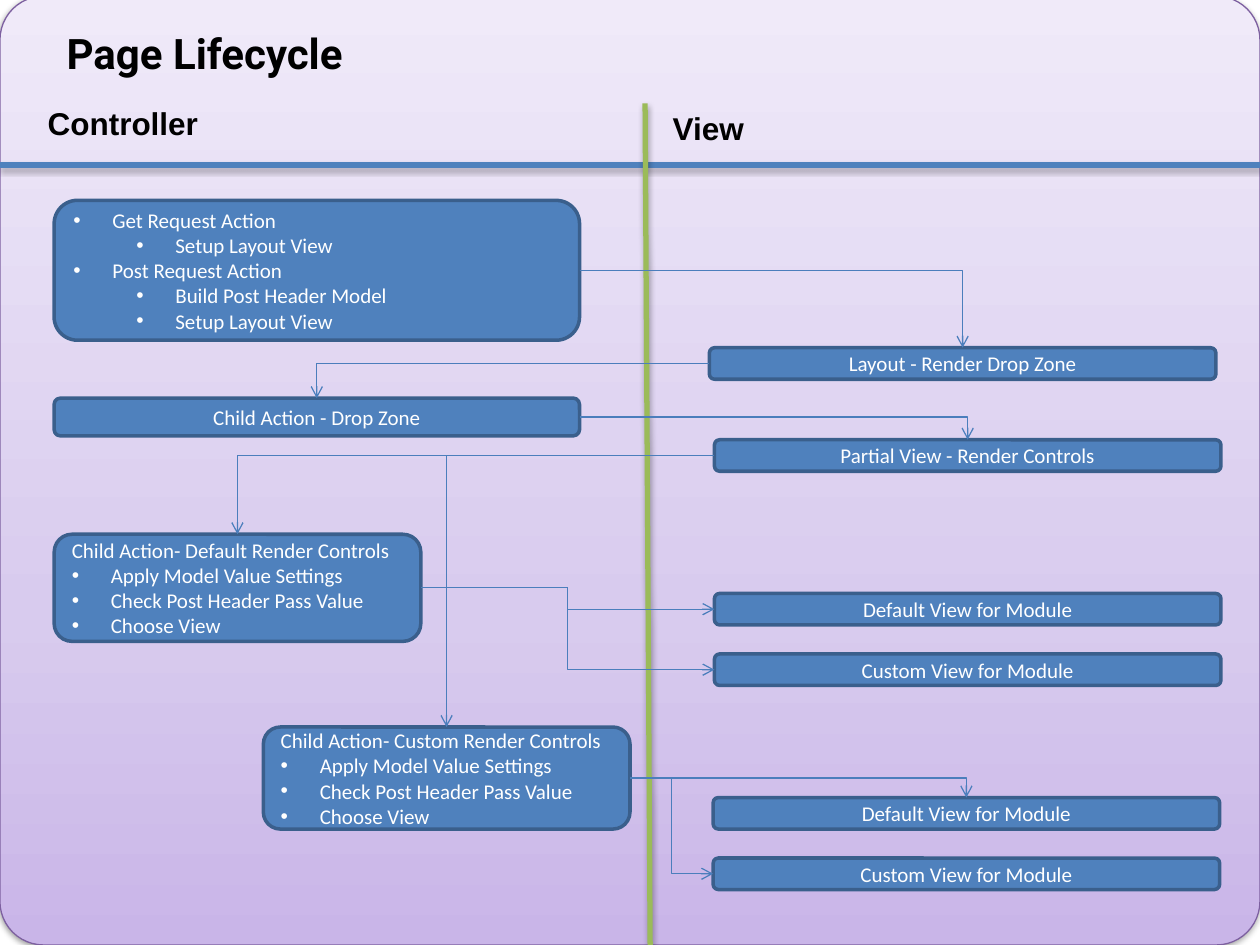
from copy import deepcopy

from lxml.etree import SubElement
from pptx import Presentation
from pptx.dml.color import RGBColor
from pptx.enum.shapes import MSO_CONNECTOR, MSO_SHAPE
from pptx.enum.text import MSO_ANCHOR, MSO_AUTO_SIZE, PP_ALIGN
from pptx.oxml.ns import qn
from pptx.util import Inches, Pt

BLACK = RGBColor(0x00, 0x00, 0x00)
WHITE = RGBColor(0xFF, 0xFF, 0xFF)
BLUE = RGBColor(0x4F, 0x81, 0xBD)
EDGE = RGBColor(0x3A, 0x5F, 0x8C)
ARROW = RGBColor(0x4B, 0x7E, 0xBC)
GREEN = RGBColor(0x9B, 0xBB, 0x59)
PURPLE = RGBColor(0x7D, 0x60, 0xA0)
PANEL_STOPS = [
    (0, RGBColor(0xC9, 0xB5, 0xE8)),
    (0.35, RGBColor(0xD8, 0xCB, 0xEE)),
    (1, RGBColor(0xF0, 0xEA, 0xF9)),
]

# The page is a grid of 100 columns by 75 rows of square cells.
COLUMNS, ROWS = 100, 75
CELL = Inches(0.1)
TOP, LEFT, RIGHT = 0, 1, 3


def cells(*counts):
    return [round(count * CELL) for count in counts]


def set_effects(shape, opacity=0, distance=0):
    """Clear the theme shadow, or replace it by a soft one falling downwards."""
    effects = SubElement(shape._element.spPr, qn("a:effectLst"))
    if opacity:
        shadow = SubElement(
            effects, qn("a:outerShdw"), blurRad=str(Pt(3.1)),
            dist=str(Pt(distance)), dir="5400000", rotWithShape="0")
        color = SubElement(shadow, qn("a:srgbClr"), val="000000")
        SubElement(color, qn("a:alpha"), val=str(opacity * 1000))


deck = Presentation()
deck.slide_width, deck.slide_height = cells(COLUMNS, ROWS)
page = deck.slides.add_slide(deck.slide_layouts[6])

# Background panel
panel = page.shapes.add_shape(
    MSO_SHAPE.ROUNDED_RECTANGLE, *cells(0, -0.3, COLUMNS, ROWS + 0.3))
panel.adjustments[0] = 0.046
panel.fill.gradient()
panel.fill.gradient_angle = 90
stop_list = panel._element.spPr.find(".//" + qn("a:gsLst"))
stop_list.insert(1, deepcopy(stop_list[0]))
for stop, (position, color) in zip(panel.fill.gradient_stops, PANEL_STOPS):
    stop.position = position
    stop.color.rgb = color
panel.line.color.rgb = PURPLE
panel.line.width = Pt(0.75)
set_effects(panel, 38, 1.6)

# Headings
for text, place, font, size in [
    ("Page Lifecycle", (4.3, 1.7, 28.6, 5), "Roboto", 24),
    ("Controller", (2.8, 7.8, 14.1, 4), "Arial", 18),
    ("View", (5.24 * 10, 8.2, 7.7, 4), "Arial", 18),
]:
    box = page.shapes.add_textbox(*cells(*place))
    box.text_frame.word_wrap = False
    box.text_frame.auto_size = MSO_AUTO_SIZE.SHAPE_TO_FIT_TEXT
    box.text_frame.text = text
    span = box.text_frame.paragraphs[0].runs[0]
    span.font.name = font
    span.font.size = Pt(size)
    span.font.bold = True
    span.font.color.rgb = BLACK

# Dividers: header rule, then controller | view
for ends, color in [
    ((0, 13.1, COLUMNS, 13.1), BLUE),
    ((51.2, 8.2, 51.6, ROWS), GREEN),
]:
    divider = page.shapes.add_connector(MSO_CONNECTOR.STRAIGHT, *cells(*ends))
    divider.line.color.rgb = color
    divider.line.width = Pt(3)
    set_effects(divider, 35, 1.8)

# Steps: place and lines; a line is (bullet level, text), level 0 has no bullet
VIEW_SIZE = (40.2, 2.5)
CHOICES = [
    (1, "Apply Model Value Settings"),
    (1, "Check Post Header Pass Value"),
    (1, "Choose View"),
]
STEPS = {
    "request": ((4.3, 15.9, 41.7, 11.1), [
        (1, "Get Request Action"),
        (2, "Setup Layout View"),
        (1, "Post Request Action"),
        (2, "Build Post Header Model"),
        (2, "Setup Layout View"),
    ]),
    "drop zone": ((4.3, 31.6, 41.7, 3), [(0, "Child Action - Drop Zone")]),
    "default action": ((4.3, 42.4, 29.1, 8.5),
                       [(0, "Child Action- Default Render Controls")] + CHOICES),
    "custom action": ((20.9, 57.7, 29.1, 8.1),
                      [(0, "Child Action- Custom Render Controls")] + CHOICES),
    "layout": ((56.3, 27.6, *VIEW_SIZE), [(0, "Layout - Render Drop Zone")]),
    "partial": ((56.7, 34.9, *VIEW_SIZE), [(0, "Partial View - Render Controls")]),
}
for group, left, top in [("default action", 56.7, 47.1), ("custom action", 56.6, 63.3)]:
    for index, kind in enumerate(["Default", "Custom"]):
        STEPS[group, kind] = ((left, top + 4.8 * index, *VIEW_SIZE),
                              [(0, f"{kind} View for Module")])

boxes = {}
for name, (place, lines) in STEPS.items():
    box = page.shapes.add_shape(MSO_SHAPE.ROUNDED_RECTANGLE, *cells(*place))
    box.fill.solid()
    box.fill.fore_color.rgb = BLUE
    box.line.color.rgb = EDGE
    box.line.width = Pt(2)
    set_effects(box)
    frame = box.text_frame
    frame.vertical_anchor = MSO_ANCHOR.MIDDLE
    frame.text = "\n".join(text for level, text in lines)
    for para, (level, text) in zip(frame.paragraphs, lines):
        para.alignment = PP_ALIGN.CENTER if len(lines) == 1 else PP_ALIGN.LEFT
        font = para.runs[0].font
        font.name = "Calibri"
        font.size = Pt(12)
        font.color.rgb = WHITE
        if level:
            para.level = level - 1
            layout = para._p.get_or_add_pPr()
            layout.set("marL", str(Inches(0.31 + 0.5 * para.level)))
            layout.set("indent", str(-Inches(0.31)))
            SubElement(layout, qn("a:buFont"), typeface="Arial")
            SubElement(layout, qn("a:buChar"), char="•")
    boxes[name] = box

# Flow: one bend when the arrow enters from the top, two when from the left
for source, source_side, target, target_side in [
    ("request", RIGHT, "layout", TOP),
    ("layout", LEFT, "drop zone", TOP),
    ("drop zone", RIGHT, "partial", TOP),
    ("partial", LEFT, "default action", TOP),
    ("partial", LEFT, "custom action", TOP),
    ("default action", RIGHT, ("default action", "Default"), LEFT),
    ("default action", RIGHT, ("default action", "Custom"), LEFT),
    ("custom action", RIGHT, ("custom action", "Default"), TOP),
    ("custom action", RIGHT, ("custom action", "Custom"), LEFT),
]:
    arrow = page.shapes.add_connector(MSO_CONNECTOR.ELBOW, 0, 0, 0, 0)
    arrow.begin_connect(boxes[source], source_side)
    arrow.end_connect(boxes[target], target_side)
    arrow.line.color.rgb = ARROW
    arrow.line.width = Pt(0.75)
    properties = arrow._element.spPr
    if target_side == TOP:
        properties.find(qn("a:prstGeom")).set("prst", "bentConnector2")
    SubElement(properties.find(qn("a:ln")), qn("a:tailEnd"), type="arrow")
    set_effects(arrow)

deck.save("out.pptx")
